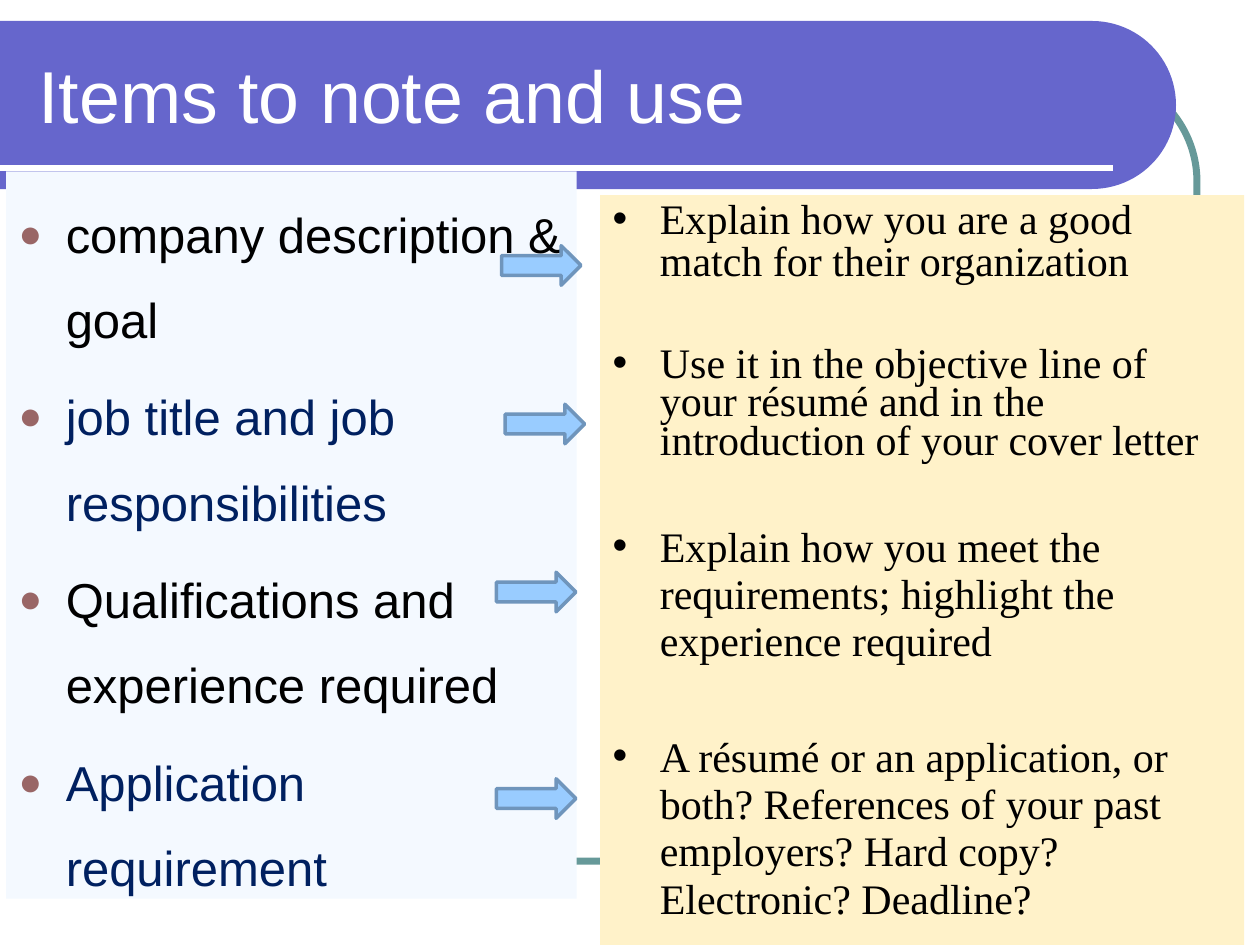
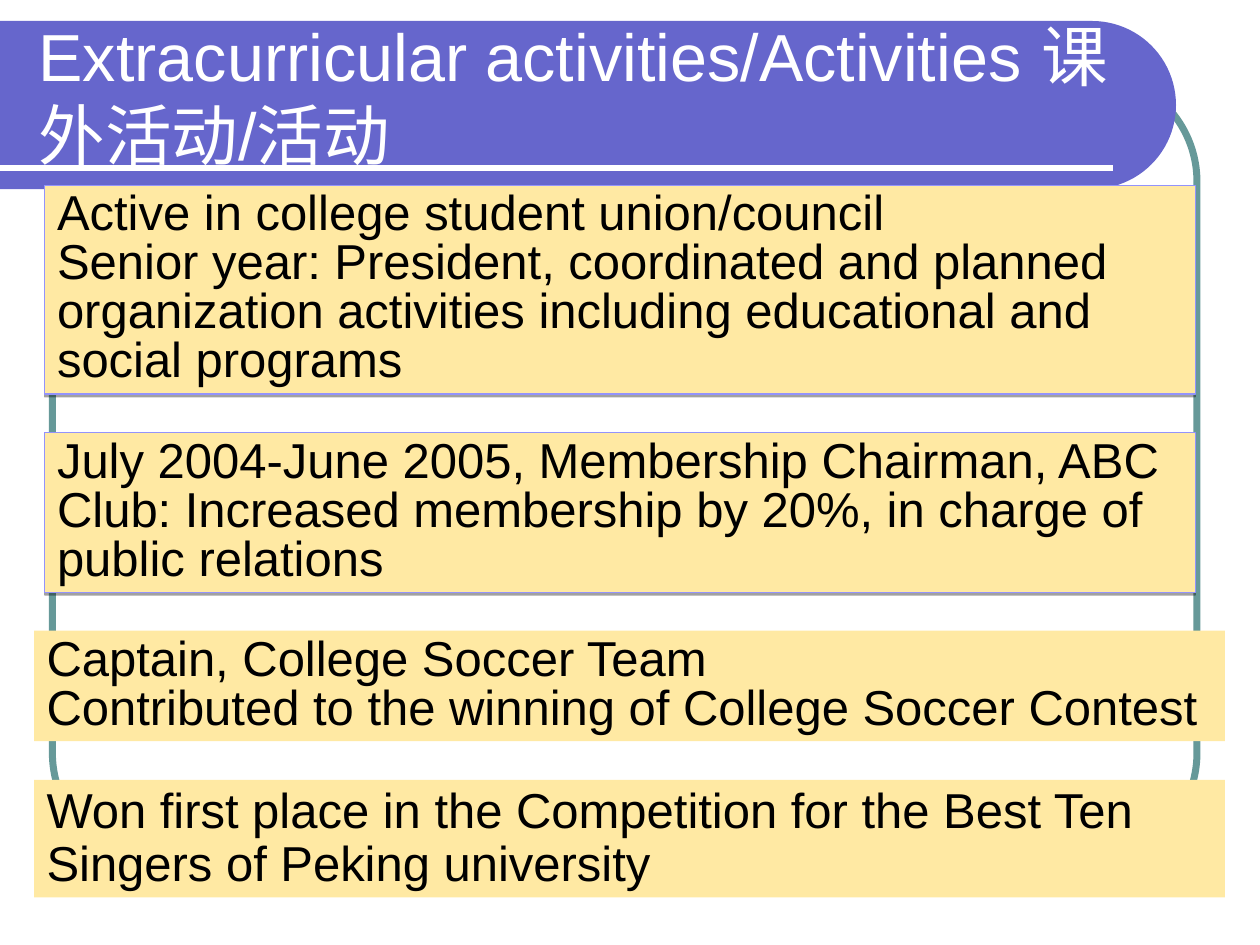
from dataclasses import dataclass
from math import cos, pi, sin

from lxml.etree import SubElement
from pptx import Presentation
from pptx.dml.color import RGBColor
from pptx.enum.shapes import MSO_CONNECTOR, MSO_SHAPE
from pptx.enum.text import MSO_ANCHOR, MSO_AUTO_SIZE, PP_ALIGN
from pptx.oxml.ns import qn
from pptx.util import Pt

# Content: note, colour name
NOTES = [
    ("company description & goal", "black"),
    ("job title and job responsibilities", "navy"),
    ("Qualifications and experience required", "black"),
    ("Application requirement", "navy"),
]
# Content: use, line spacing, space before
USES = [
    ("Explain how you are a good match for their organization", 24, 0),
    ("Use it in the objective line of your résumé and in the introduction "
     "of your cover letter", 22, 36),
    ("Explain how you meet the requirements; highlight the experience required",
     27, 34),
    ("A résumé or an application, or both? References of your past employers? "
     "Hard copy? Electronic? Deadline?", 27, 39),
]
ARROWS = [(286.6, 140.4), (288.7, 231), (283.7, 327), (283.7, 445)]

# Content: paragraphs, lines shown, line spacing, outlined
ACTIVITIES = [
    (["Active in college student union/council",
      "Senior year: President, coordinated and planned organization activities "
      "including educational and social programs"], 4, 28, True),
    (["July 2004-June 2005, Membership Chairman, ABC Club: Increased membership "
      "by 20%, in charge of public relations"], 3, 28, True),
    (["Captain, College Soccer Team",
      "Contributed to the winning of College Soccer Contest"], 2, 28, False),
    (["Won first place in the Competition for the Best Ten Singers of "
      "Peking university"], 2, 30, False),
]


@dataclass(frozen=True)
class Theme:
    black: str = "000000"
    navy: str = "002060"
    white: str = "FFFFFF"
    band: str = "6666CC"
    frame: str = "669999"
    bullet: str = "996666"
    notes: str = "F4F9FF"
    uses: str = "FFF2C9"
    activity: str = "FFE9A3"
    outline: str = "9393FC"
    arrow: str = "99CCFF"
    arrow_line: str = "6F95BC"
    sans: str = "Arial"
    serif: str = "Times New Roman"
    body: int = 28
    uses_size: int = 24


T = Theme()


def rgb(value):
    return RGBColor.from_string(value)


def style(s, fill=None, line=None, width=1):
    s.shadow.inherit = False
    if fill:
        s.fill.solid()
        s.fill.fore_color.rgb = rgb(fill)
    else:
        s.fill.background()
    if line:
        s.line.color.rgb = rgb(line)
        s.line.width = Pt(width)
    else:
        s.line.fill.background()
    return s


def add_box(slide, kind, box, **look):
    return style(slide.shapes.add_shape(kind, *map(Pt, box)), **look)


def add_bullet(p, char, colour, percent):
    pPr = p._p.get_or_add_pPr()
    pPr.set("marL", str(Pt(27)))
    pPr.set("indent", str(-Pt(27)))
    SubElement(SubElement(pPr, qn("a:buClr")), qn("a:srgbClr"), val=colour)
    SubElement(pPr, qn("a:buSzPct"), val=str(percent * 1000))
    SubElement(pPr, qn("a:buFont"), typeface=T.sans)
    SubElement(pPr, qn("a:buChar"), char=char)


def write(s, items, font, size, anchor=MSO_ANCHOR.TOP):
    """Fill a shape; each item is text, colour, paragraph format, bullet."""
    tf = s.text_frame
    tf.word_wrap = True
    tf.vertical_anchor = anchor
    for i, (text, colour, layout, bullet) in enumerate(items):
        p = tf.add_paragraph() if i else tf.paragraphs[0]
        if bullet:
            add_bullet(p, *bullet)
        for name, value in {"alignment": PP_ALIGN.LEFT, **layout}.items():
            setattr(p, name, value)
        r = p.add_run()
        r.text = text
        for name, value in {"name": font, "size": Pt(size)}.items():
            setattr(r.font, name, value)
        r.font.color.rgb = rgb(colour)


def add_drop_shadow(s):
    effects = s._element.spPr.find(qn("a:effectLst"))
    drop = SubElement(effects, qn("a:outerShdw"), blurRad="0",
                      dist=str(Pt(1.6)), dir="5400000", rotWithShape="0")
    colour = SubElement(drop, qn("a:srgbClr"), val=T.black)
    SubElement(colour, qn("a:alpha"), val="37000")


def start_slide(prs, title, size, width):
    slide = prs.slides.add_slide(prs.slide_layouts[6])
    # Rounded frame
    s = add_box(slide, MSO_SHAPE.ROUNDED_RECTANGLE, (30, 42, 654, 450),
                line=T.frame, width=4)
    s.adjustments[0] = 0.137
    # Band with a round right end
    cx, cy, radius, steps = 624, 60, 48, 48
    arc = [(cx + radius * cos(a), cy + radius * sin(a))
           for a in (pi * (k / steps - 0.5) for k in range(steps + 1))]
    outline = slide.shapes.build_freeform(0, Pt(cy - radius))
    outline.add_line_segments(
        [(Pt(x), Pt(y)) for x, y in arc + [(0, cy + radius)]], close=True)
    style(outline.convert_to_shape(), fill=T.band)
    # Rule under the title
    rule = slide.shapes.add_connector(
        MSO_CONNECTOR.STRAIGHT, 0, Pt(96), Pt(636), Pt(96))
    rule.line.color.rgb = rgb(T.white)
    rule.line.width = Pt(3)
    SubElement(rule._element.spPr, qn("a:effectLst"))
    # Title
    s = slide.shapes.add_textbox(Pt(15), Pt(18), Pt(width), Pt(72))
    write(s, [(title, T.white, {}, None)], T.sans, size, MSO_ANCHOR.MIDDLE)
    return slide


def build_items(prs):
    slide = start_slide(prs, "Items to note and use", 42, 631.5)
    # Notes on the left
    s = add_box(slide, MSO_SHAPE.RECTANGLE, (3.5, 98, 326, 415.5), fill=T.notes)
    write(s, [(text, getattr(T, colour),
               {"line_spacing": 1.45, "space_before": Pt(7 if i else 0)},
               ("●", T.bullet, 80))
              for i, (text, colour) in enumerate(NOTES)], T.sans, T.body)
    # Uses on the right
    s = add_box(slide, MSO_SHAPE.RECTANGLE, (343, 111.5, 368, 428.5), fill=T.uses)
    write(s, [(text, T.black,
               {"line_spacing": Pt(pitch), "space_before": Pt(gap)},
               ("•", T.black, 100))
              for text, pitch, gap in USES], T.serif, T.uses_size)
    # Arrows from note to use
    for x, y in ARROWS:
        add_box(slide, MSO_SHAPE.RIGHT_ARROW, (x, y, 45.4, 22.6),
                fill=T.arrow, line=T.arrow_line, width=2)


def build_activities(prs):
    slide = start_slide(
        prs, "Extracurricular activities/Activities 课外活动/活动", 38, 656.5)
    # Stack of boxes, each as tall as its text
    top, gap, margins = 106, 22, 7.2
    for texts, lines, pitch, outlined in ACTIVITIES:
        height = lines * pitch + margins
        left, width = (25.5, 657.5) if outlined else (19.5, 680.5)
        s = add_box(slide, MSO_SHAPE.RECTANGLE, (left, top, width, height),
                    fill=T.activity, line=T.outline if outlined else None,
                    width=0.75)
        if outlined:
            add_drop_shadow(s)
        write(s, [(text, T.black, {"line_spacing": Pt(pitch)}, None)
                  for text in texts], T.sans, T.body)
        s.text_frame.auto_size = MSO_AUTO_SIZE.SHAPE_TO_FIT_TEXT
        top += height + gap


def main():
    prs = Presentation()
    prs.slide_width, prs.slide_height = Pt(720), Pt(540)
    build_items(prs)
    build_activities(prs)
    prs.save("out.pptx")


if __name__ == "__main__":
    main()
